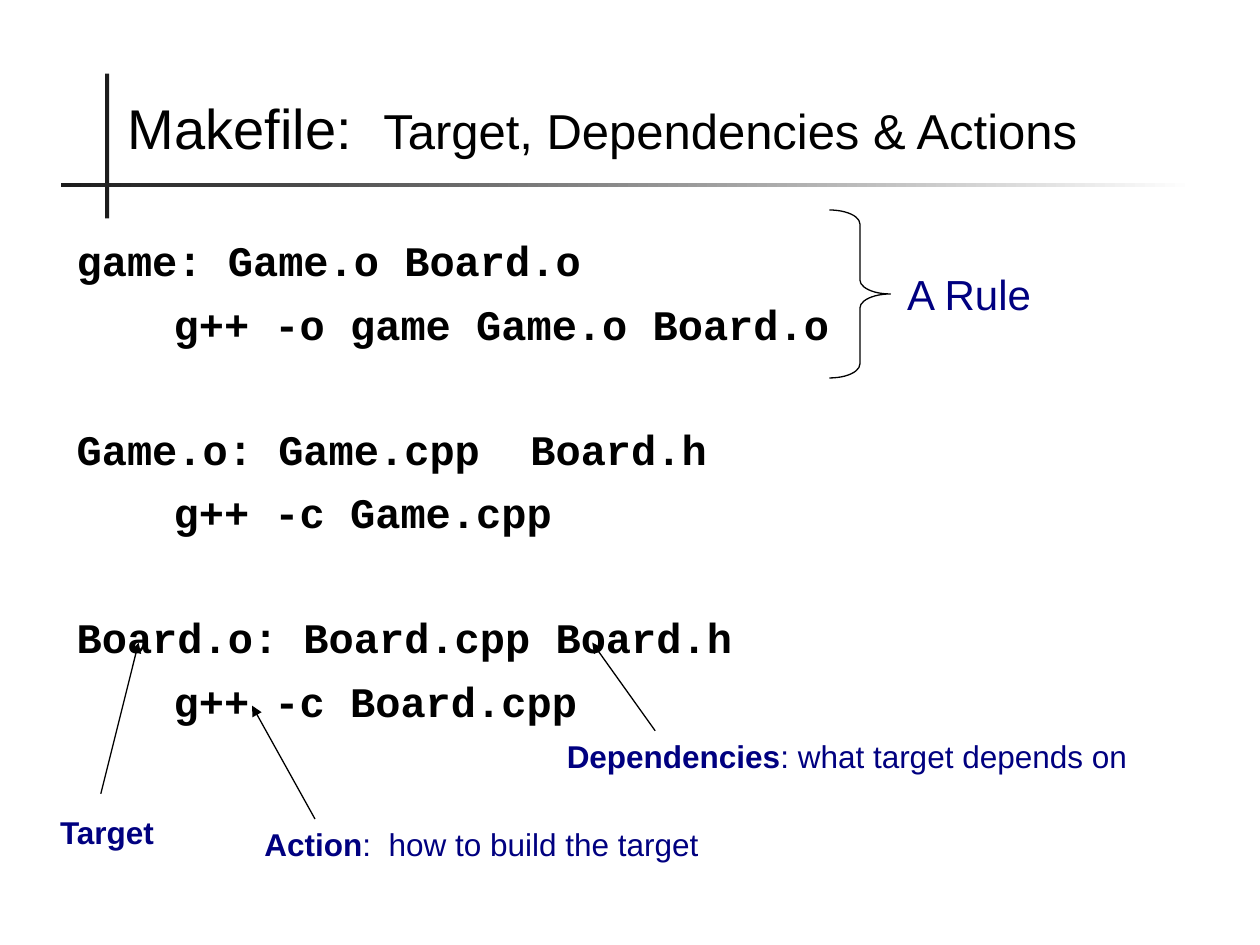
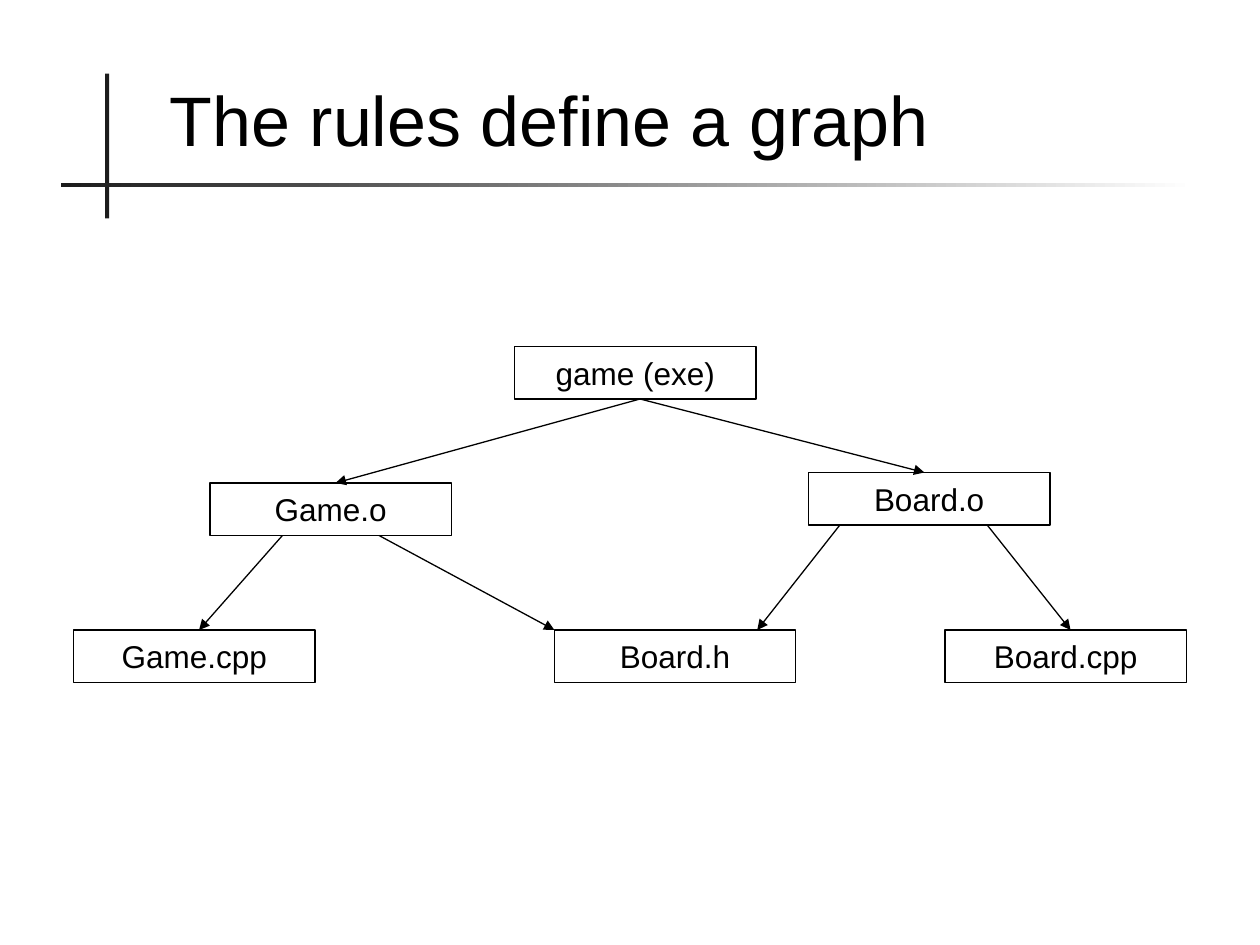
from dataclasses import dataclass

from lxml import etree
from pptx import Presentation
from pptx import util as u
from pptx.dml.color import RGBColor
from pptx.enum import shapes, text
from pptx.oxml import ns

COLUMNS, ROWS = 120, 90
CELL = u.Inches(10) // COLUMNS


@dataclass(frozen=True)
class Theme:
    ink: RGBColor = RGBColor(0, 0, 0)
    paper: RGBColor = RGBColor(255, 255, 255)
    band: RGBColor = RGBColor(0x1C, 0x1C, 0x1C)
    note: RGBColor = RGBColor(0, 0, 0x80)
    sans: str = "Arial"
    mono: str = "Courier New"
    title: int = 40
    topic: int = 32
    subtitle: int = 28
    code: int = 24
    label: int = 18
    line: float = 0.75


@dataclass(frozen=True)
class Box:
    """An area in grid columns and rows."""
    left: float
    top: float
    width: float
    height: float

    def inner(self, left, top, width, height):
        return Box(self.left + left, self.top + top, width, height)

    def point(self, across, down):
        return self.left + across * self.width, self.top + down * self.height

    def emu(self):
        return [cells(n) for n in (self.left, self.top, self.width, self.height)]


THEME = Theme()
PAGE = Box(0, 0, COLUMNS, ROWS)
CENTER = text.PP_ALIGN.CENTER
MIDDLE = text.MSO_ANCHOR.MIDDLE


def cells(count):
    return u.Emu(round(count * CELL))


def style(run, size, color=THEME.ink, face=THEME.sans, bold=False):
    run.font.size = u.Pt(size)
    run.font.name = face
    run.font.bold = bold
    run.font.color.rgb = color


def add_text(slide, box, runs, color=THEME.ink, align=None, anchor=text.MSO_ANCHOR.TOP):
    """Place one paragraph; runs are (wording, size, bold)."""
    frame = slide.shapes.add_textbox(*box.emu()).text_frame
    frame.word_wrap = True
    frame.vertical_anchor = anchor
    paragraph = frame.paragraphs[0]
    paragraph.alignment = align
    for wording, size, bold in runs:
        run = paragraph.add_run()
        run.text = wording
        style(run, size, color, bold=bold)
    return frame


def add_arrow(slide, start, end):
    arrow = slide.shapes.add_connector(
        shapes.MSO_CONNECTOR.STRAIGHT, *[cells(n) for n in (*start, *end)])
    arrow.line.color.rgb = THEME.ink
    arrow.line.width = u.Pt(THEME.line)
    etree.SubElement(arrow.line._get_or_add_ln(), ns.qn("a:tailEnd"), type="triangle")
    etree.SubElement(arrow._element.spPr, ns.qn("a:effectLst"))


def add_shape(slide, kind, box):
    shape = slide.shapes.add_shape(kind, *box.emu())
    shape.shadow.inherit = False
    shape.line.color.rgb = THEME.ink
    shape.line.width = u.Pt(THEME.line)
    return shape


def title_region(slide, box, indent, runs):
    upright = add_shape(slide, shapes.MSO_SHAPE.RECTANGLE, box.inner(4.2, 0, 0.4, 13.8))
    upright.fill.solid()
    upright.fill.fore_color.rgb = THEME.band
    rule = add_shape(slide, shapes.MSO_SHAPE.RECTANGLE, box.inner(0, 10.4, box.width, 0.4))
    rule.fill.gradient()
    rule.fill.gradient_angle = 0
    for stop, color in zip(rule.fill.gradient_stops, (THEME.band, THEME.paper)):
        stop.color.rgb = color
    for bar in (upright, rule):
        bar.line.fill.background()
    add_text(slide, box.inner(indent, 0, 102, 8.9), runs, anchor=text.MSO_ANCHOR.BOTTOM)


def makefile_region(slide, box, rules):
    """Write each rule as a target line and an indented command line."""
    frame = slide.shapes.add_textbox(*box.emu()).text_frame
    frame.word_wrap = True
    frame.margin_top = u.Inches(0.11)
    lines = [line for rule in rules for line in rule]
    frame.text = "\n".join(lines)
    for index, paragraph in enumerate(frame.paragraphs):
        properties = paragraph._p.get_or_add_pPr()
        properties.set("marL", str(u.Inches(0.38)))
        properties.set("indent", str(-u.Inches(0.37)))
        starts_rule = index % len(rules[0]) == 0
        if index:
            paragraph.space_before = u.Pt(42.5 if starts_rule else 7.7)
        for run in paragraph.runs:
            style(run, THEME.code, face=THEME.mono, bold=True)


def rule_brace(slide, box):
    brace = add_shape(slide, shapes.MSO_SHAPE.RIGHT_BRACE, box.inner(0, 0, 5.8, box.height))
    brace.fill.background()
    brace.adjustments[0] = 0.23
    add_text(slide, box.inner(4.8, 4, 17, 8), [("A Rule", THEME.code, False)],
             THEME.note, CENTER, MIDDLE)


def callout_region(slide, box):
    """Name the parts of the last rule, each with an arrow up to it."""
    callouts = [
        ("Target", "", (2.4, 15.6, 15.6, 4.8), (9.6, 14.4), (13.2, 0), CENTER),
        ("Dependencies", ": what target depends on",
         (52.8, 8.4, 61.2, 8.4), (62.4, 8.4), (56.4, 0), None),
        ("Action", ":  how to build the target",
         (24, 16.8, 56.4, 8.4), (30, 16.8), (24, 6), None),
    ]
    for term, meaning, area, start, end, align in callouts:
        runs = [(term, THEME.label, True)]
        if meaning:
            runs.append((meaning, THEME.label, False))
        add_text(slide, box.inner(*area), runs, THEME.note, align)
        add_arrow(slide, *[(box.left + x, box.top + y) for x, y in (start, end)])


def graph_region(slide, box):
    places = {
        "game (exe)": (42, 0),
        "Board.o": (70, 12),
        "Game.o": (13, 13),
        "Board.h": (45.8, 27),
        "Board.cpp": (83, 27),
        "Game.cpp": (0, 27),
    }
    # Each edge leaves the bottom and meets the top at a share of the node's width.
    edges = [
        ("Game.o", 0.3, "Game.cpp", 0.52),
        ("game (exe)", 0.52, "Game.o", 0.52),
        ("game (exe)", 0.52, "Board.o", 0.48),
        ("Game.o", 0.7, "Board.h", 0),
        ("Board.o", 0.13, "Board.h", 0.84),
        ("Board.o", 0.74, "Board.cpp", 0.52),
    ]
    nodes = {name: box.inner(*place, 23, 5) for name, place in places.items()}
    for name, area in nodes.items():
        node = add_shape(slide, shapes.MSO_SHAPE.RECTANGLE, area)
        node.fill.solid()
        node.fill.fore_color.rgb = THEME.paper
        node.text_frame.text = name
        node.text_frame.vertical_anchor = MIDDLE
        paragraph = node.text_frame.paragraphs[0]
        paragraph.alignment = CENTER
        style(paragraph.runs[0], THEME.label)
    for parent, leave, child, meet in edges:
        add_arrow(slide, nodes[parent].point(leave, 1), nodes[child].point(meet, 0))


def makefile_slide(slide, heading):
    title_region(slide, heading, 5.2, [
        ("Makefile:  ", THEME.topic, False),
        ("Target, Dependencies & Actions", THEME.subtitle, False)])
    makefile_region(slide, PAGE.inner(6, 21, 109, 60.6), [
        ("game: Game.o Board.o", "\t  g++ -o game Game.o Board.o"),
        ("Game.o: Game.cpp  Board.h", "\t  g++ -c Game.cpp"),
        ("Board.o: Board.cpp Board.h", "\t  g++ -c Board.cpp")])
    rule_brace(slide, PAGE.inner(79, 20, 22, 16))
    callout_region(slide, PAGE.inner(0, 61.2, COLUMNS, 25.2))


def graph_slide(slide, heading):
    title_region(slide, heading, 9.2, [("The rules define a graph", THEME.title, False)])
    graph_region(slide, PAGE.inner(7, 33, 106, 32))


def main():
    deck = Presentation()
    deck.slide_width, deck.slide_height = cells(COLUMNS), cells(ROWS)
    heading = PAGE.inner(5.8, 7, 108, 13.8)
    for build in (makefile_slide, graph_slide):
        build(deck.slides.add_slide(deck.slide_layouts[6]), heading)
    deck.save("out.pptx")


if __name__ == "__main__":
    main()
